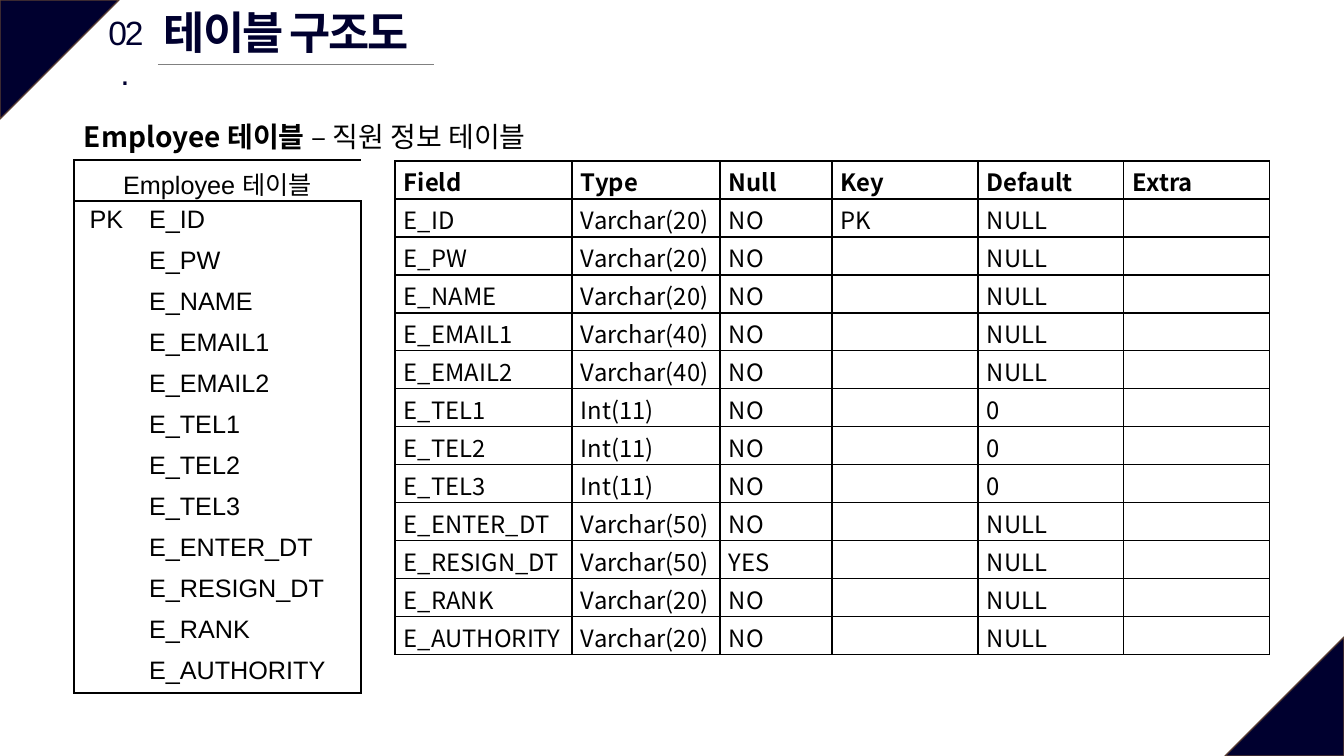
from lxml.etree import SubElement
from pptx import Presentation
from pptx.dml.color import RGBColor
from pptx.enum.shapes import MSO_CONNECTOR, MSO_SHAPE
from pptx.enum.text import MSO_ANCHOR, PP_ALIGN
from pptx.oxml.ns import qn
from pptx.util import Emu, Pt

SCALE = 914400 / 100.8
NAVY = "00002F"
BLACK = "000000"
SANS = "Arial"
KOREAN = "Noto Sans CJK KR"

FIELDS = [
    ("E_ID", "Varchar(20)", "NO", "PK", "NULL"),
    ("E_PW", "Varchar(20)", "NO", "", "NULL"),
    ("E_NAME", "Varchar(20)", "NO", "", "NULL"),
    ("E_EMAIL1", "Varchar(40)", "NO", "", "NULL"),
    ("E_EMAIL2", "Varchar(40)", "NO", "", "NULL"),
    ("E_TEL1", "Int(11)", "NO", "", "0"),
    ("E_TEL2", "Int(11)", "NO", "", "0"),
    ("E_TEL3", "Int(11)", "NO", "", "0"),
    ("E_ENTER_DT", "Varchar(50)", "NO", "", "NULL"),
    ("E_RESIGN_DT", "Varchar(50)", "YES", "", "NULL"),
    ("E_RANK", "Varchar(20)", "NO", "", "NULL"),
    ("E_AUTHORITY", "Varchar(20)", "NO", "", "NULL"),
]


def px(length):
    return Emu(round(length * SCALE))


def color(value):
    return RGBColor.from_string(value)


def style(paragraph, size, name, tone=BLACK, bold=None):
    font = paragraph.font
    font.size, font.name, font.bold = Pt(size), name, bold
    font.color.rgb = color(tone)


def add_text(slide, box, runs, size, name, tone=BLACK, wrap=True):
    shape = slide.shapes.add_textbox(*map(px, box))
    shape.text_frame.word_wrap = wrap
    paragraph = shape.text_frame.paragraphs[0]
    style(paragraph, size, name, tone)
    for text, bold in runs:
        run = paragraph.add_run()
        run.text = text
        run.font.bold = bold
    return shape


def tighten(paragraph):
    for run in paragraph.runs:
        run._r.get_or_add_rPr().set("spc", "-150")


def add_corner(slide, box, rotation):
    shape = slide.shapes.add_shape(MSO_SHAPE.ISOSCELES_TRIANGLE, *map(px, box))
    shape.adjustments[0] = 0
    shape.rotation = rotation
    shape.shadow.inherit = False
    shape.fill.solid()
    shape.fill.fore_color.rgb = color(NAVY)
    shape.line.color.rgb = color("5B3F33")
    shape.line.width = Pt(1)


def add_heading(slide, box):
    left, top, width, height = box
    title = add_text(slide, (left + 58, top, width - 58, height),
                     [("테이블 구조도", True)], 32, SANS, NAVY, wrap=False)
    tighten(title.text_frame.paragraphs[0])
    rule = slide.shapes.add_connector(
        MSO_CONNECTOR.STRAIGHT, px(left + 62), px(top + height),
        px(left + 338), px(top + height))
    rule.line.color.rgb = color("808080")
    rule.line.width = Pt(0.5)
    SubElement(rule._element.spPr, qn("a:effectLst"))
    number = add_text(slide, (left, top + 7, 58, 50), [("02.", None)], 24, SANS, NAVY)
    paragraph = number.text_frame.paragraphs[0]
    paragraph.alignment = PP_ALIGN.CENTER
    tighten(paragraph)


def set_borders(cell, sides):
    properties = cell._tc.get_or_add_tcPr()
    for side in "LRTB":
        line = SubElement(properties, qn(f"a:ln{side}"), w=str(Pt(1)))
        if side in sides:
            fill = SubElement(line, qn("a:solidFill"))
            SubElement(fill, qn("a:srgbClr"), val=BLACK)
        else:
            SubElement(line, qn("a:noFill"))


def add_grid(slide, left, top, columns, row_height, row_count):
    frame = slide.shapes.add_table(
        row_count, len(columns), px(left), px(top),
        px(sum(columns)), px(row_height * row_count))
    table = frame.table
    table.first_row = table.horz_banding = False
    for column, width in zip(table.columns, columns):
        column.width = px(width)
    for row in table.rows:
        row.height = px(row_height)
    return table


def fill_cell(cell, text, size, name, sides, bold=None):
    cell.text = text
    style(cell.text_frame.paragraphs[0], size, name, bold=bold)
    set_borders(cell, sides)


def add_entity(slide, left, top):
    table = add_grid(slide, left, top, (65, 222), 41, len(FIELDS) + 1)
    rows = [("Employee 테이블", "")]
    rows += [("PK" if key else "", field) for field, _, _, key, _ in FIELDS]
    for row, (key, field) in enumerate(rows):
        edges = "TB" if row == 0 else "T" if row == 1 else "B" if row == len(FIELDS) else ""
        for column, (text, side) in enumerate(((key, "L"), (field, "R"))):
            cell = table.cell(row, column)
            fill_cell(cell, text, 18, SANS, edges + side)
            cell.fill.background()
        table.cell(row, 0).text_frame.paragraphs[0].alignment = PP_ALIGN.CENTER
    header = table.cell(0, 0)
    header.merge(table.cell(0, 1))
    header.margin_bottom = 0


def add_schema(slide, left, top):
    columns = (177, 148, 112, 146, 146, 146)
    table = add_grid(slide, left, top, columns, 38, len(FIELDS) + 1)
    rows = [("Field", "Type", "Null", "Key", "Default", "Extra")]
    rows += [(*field, "") for field in FIELDS]
    for row, values in enumerate(rows):
        for column, text in enumerate(values):
            cell = table.cell(row, column)
            fill_cell(cell, text, 17, KOREAN, "LRTB", bold=row == 0)
            cell.margin_left = cell.margin_right = px(9)
            cell.margin_top, cell.margin_bottom = px(3), 0
            cell.fill.solid()
            cell.fill.fore_color.rgb = color("FFFFFF")


def build_slide(presentation):
    slide = presentation.slides.add_slide(presentation.slide_layouts[6])
    add_corner(slide, (0, 0, 119, 119), 90)
    add_corner(slide, (1225, 637, 119, 119), 270)
    add_heading(slide, (96, 0, 351, 64))
    add_entity(slide, 74, 160)
    add_schema(slide, 395, 161)
    caption = add_text(slide, (74, 111, 874, 50),
                       [("Employee 테이블 ", True), ("– 직원 정보 테이블", False)],
                       20, KOREAN)
    caption.text_frame.vertical_anchor = MSO_ANCHOR.MIDDLE


presentation = Presentation()
presentation.slide_width, presentation.slide_height = px(1344), px(756)
build_slide(presentation)
presentation.save("out.pptx")
